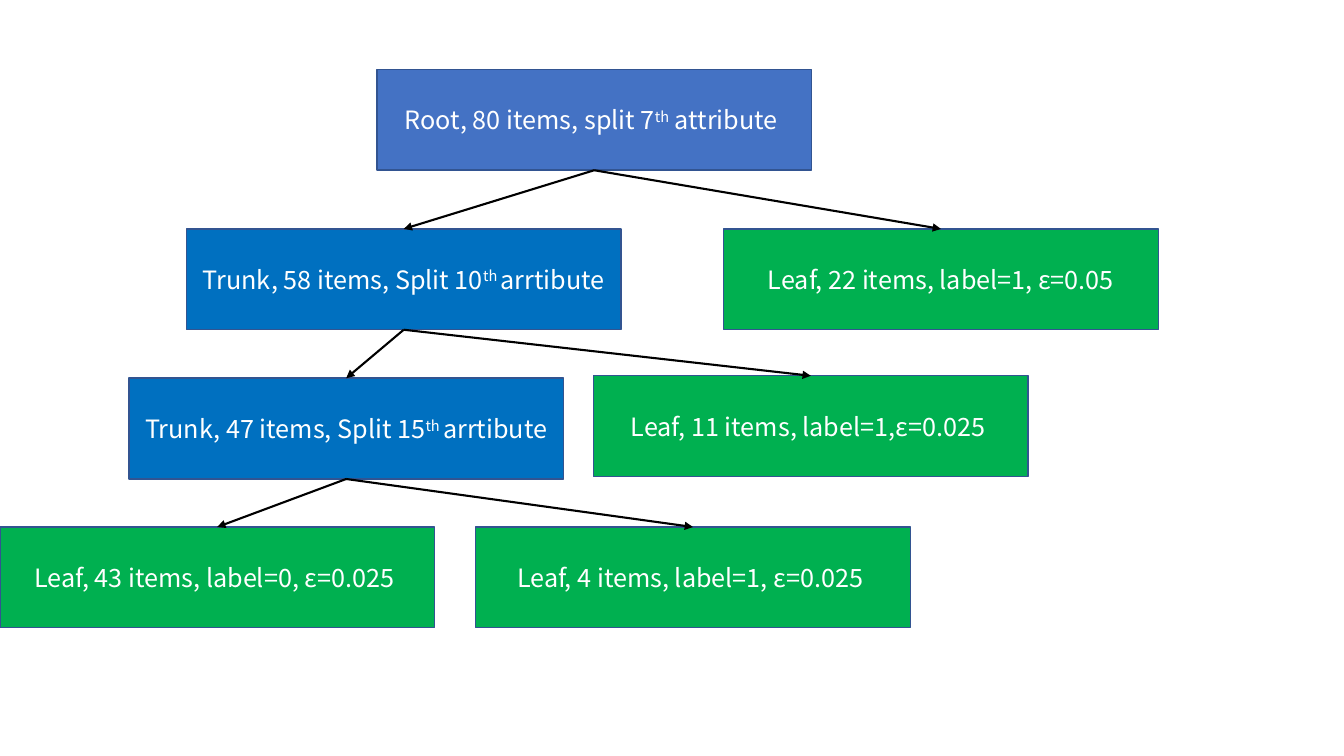
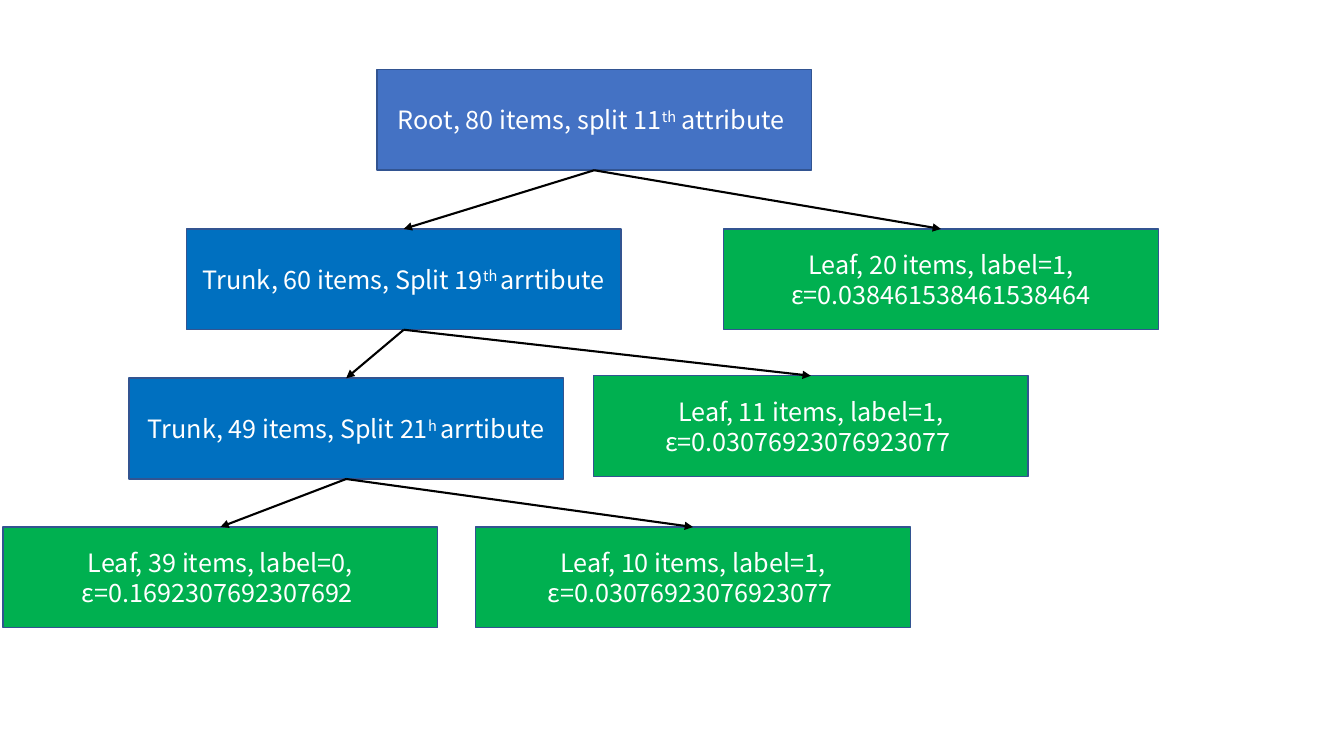
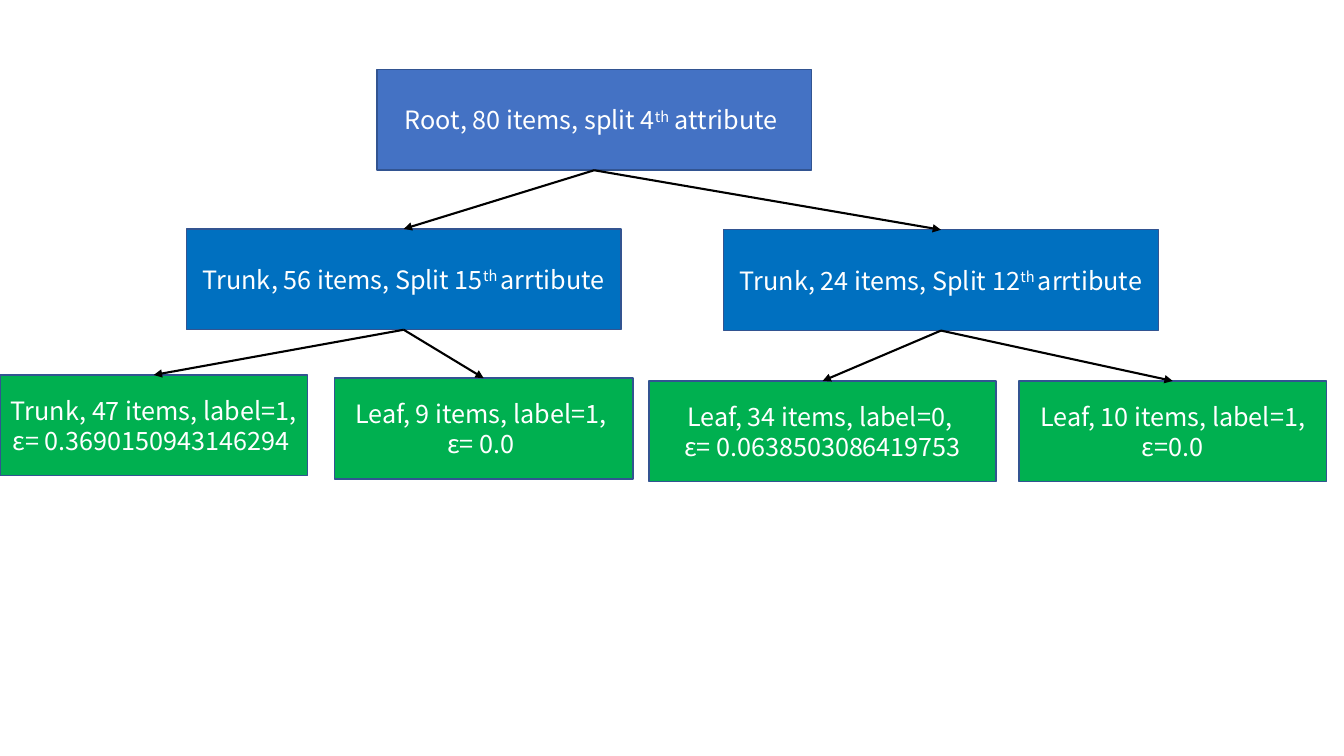
from lxml.etree import SubElement
from pptx import Presentation
from pptx.dml.color import RGBColor
from pptx.enum.shapes import MSO_CONNECTOR, MSO_SHAPE
from pptx.enum.text import MSO_ANCHOR, PP_ALIGN
from pptx.oxml.ns import qn
from pptx.util import Cm, Pt

COLORS = {
    "root": "4472C4",
    "trunk": "0070C0",
    "leaf": "00B050",
    "edge": "325491",
    "arrow": "000000",
    "text": "FFFFFF",
}
FONT = "Noto Sans CJK SC"
WIDE, HIGH = 10.95, 2.54
BOX = (0, 1.75)

TOP = [
    ("root", 9.5, 0, WIDE, None),
    ("trunk", 4.7, 4.02, WIDE, 0),
]


def deep(left):
    return TOP + [
        ("leaf", 18.24, 4.02, WIDE, 0),
        ("trunk", 3.25, 7.78, WIDE, 1),
        ("leaf", 14.96, 7.72, WIDE, 1),
        ("leaf", left, 11.53, WIDE, 3),
        ("leaf", 11.99, 11.53, WIDE, 3),
    ]


FLAT = TOP + [
    ("trunk", 18.24, 4.04, WIDE, 0),
    ("leaf", 0, 7.7, 7.75, 1),
    ("leaf", 8.43, 7.78, 7.52, 1),
    ("leaf", 16.36, 7.85, 8.74, 2),
    ("leaf", 25.68, 7.85, 7.75, 2),
]

TREES = [
    (deep(0), [
        "Root, 80 items, split 7^th^ attribute ",
        "Trunk, 58 items, Split 10^th ^arrtibute",
        "Leaf, 22 items, label=1, ε=0.05",
        "Trunk, 47 items, Split 15^th ^arrtibute",
        "Leaf, 11 items, label=1,ε=0.025 ",
        "Leaf, 43 items, label=0, ε=0.025 ",
        "Leaf, 4 items, label=1, ε=0.025 ",
    ]),
    (deep(0.08), [
        "Root, 80 items, split 11^th^ attribute ",
        "Trunk, 60 items, Split 19^th ^arrtibute",
        "Leaf, 20 items, label=1, ε=0.038461538461538464",
        "Trunk, 49 items, Split 21^h ^arrtibute",
        "Leaf, 11 items, label=1, ε=0.03076923076923077 ",
        "Leaf, 39 items, label=0, ε=0.1692307692307692 ",
        "Leaf, 10 items, label=1, ε=0.03076923076923077 ",
    ]),
    (FLAT, [
        "Root, 80 items, split 4^th^ attribute ",
        "Trunk, 56 items, Split 15^th ^arrtibute",
        "Trunk, 24 items, Split 12^th ^arrtibute",
        "Trunk, 47 items, label=1, ε= 0.3690150943146294 ",
        "Leaf, 9 items, label=1, \nε= 0.0 ",
        "Leaf, 34 items, label=0, \nε= 0.0638503086419753",
        "Leaf, 10 items, label=1, ε=0.0",
    ]),
]


def paint(name):
    return RGBColor.from_string(COLORS[name])


def write(frame, text):
    frame.word_wrap = True
    frame.vertical_anchor = MSO_ANCHOR.MIDDLE
    frame.text = text
    for para in frame.paragraphs:
        para.alignment = PP_ALIGN.CENTER
        parts = para.text.split("^")
        para.text = parts[0]
        for part in parts[1:]:
            para.add_run().text = part
        for rank, run in enumerate(para.runs):
            run.font.name = FONT
            run.font.size = Pt(18)
            run.font.color.rgb = paint("text")
            if rank % 2:
                run.font._element.set("baseline", "30000")


def add_node(slide, box, kind, left, top, width, text):
    node = slide.shapes.add_shape(
        MSO_SHAPE.RECTANGLE,
        Cm(box[0] + left), Cm(box[1] + top), Cm(width), Cm(HIGH))
    node.shadow.inherit = False
    node.fill.solid()
    node.fill.fore_color.rgb = paint(kind)
    node.line.color.rgb = paint("edge")
    node.line.width = Pt(1)
    write(node.text_frame, text)
    return node


def add_arrow(slide, start, end):
    arrow = slide.shapes.add_connector(MSO_CONNECTOR.STRAIGHT, 0, 0, 0, 0)
    arrow.begin_connect(start, 2)
    arrow.end_connect(end, 0)
    arrow.line.color.rgb = paint("arrow")
    arrow.line.width = Pt(1.5)
    props = arrow._element.spPr
    SubElement(props.find(qn("a:ln")), qn("a:tailEnd"), type="triangle")
    SubElement(props, qn("a:effectLst"))


def add_tree(slide, box, plan, texts):
    nodes = [add_node(slide, box, *spot[:4], text)
             for spot, text in zip(plan, texts)]
    for node, spot in zip(nodes, plan):
        if spot[4] is not None:
            add_arrow(slide, nodes[spot[4]], node)


def main():
    deck = Presentation()
    deck.slide_width, deck.slide_height = Cm(33.87), Cm(19.05)
    for plan, texts in TREES:
        slide = deck.slides.add_slide(deck.slide_layouts[6])
        add_tree(slide, BOX, plan, texts)
    deck.save("out.pptx")


if __name__ == "__main__":
    main()
